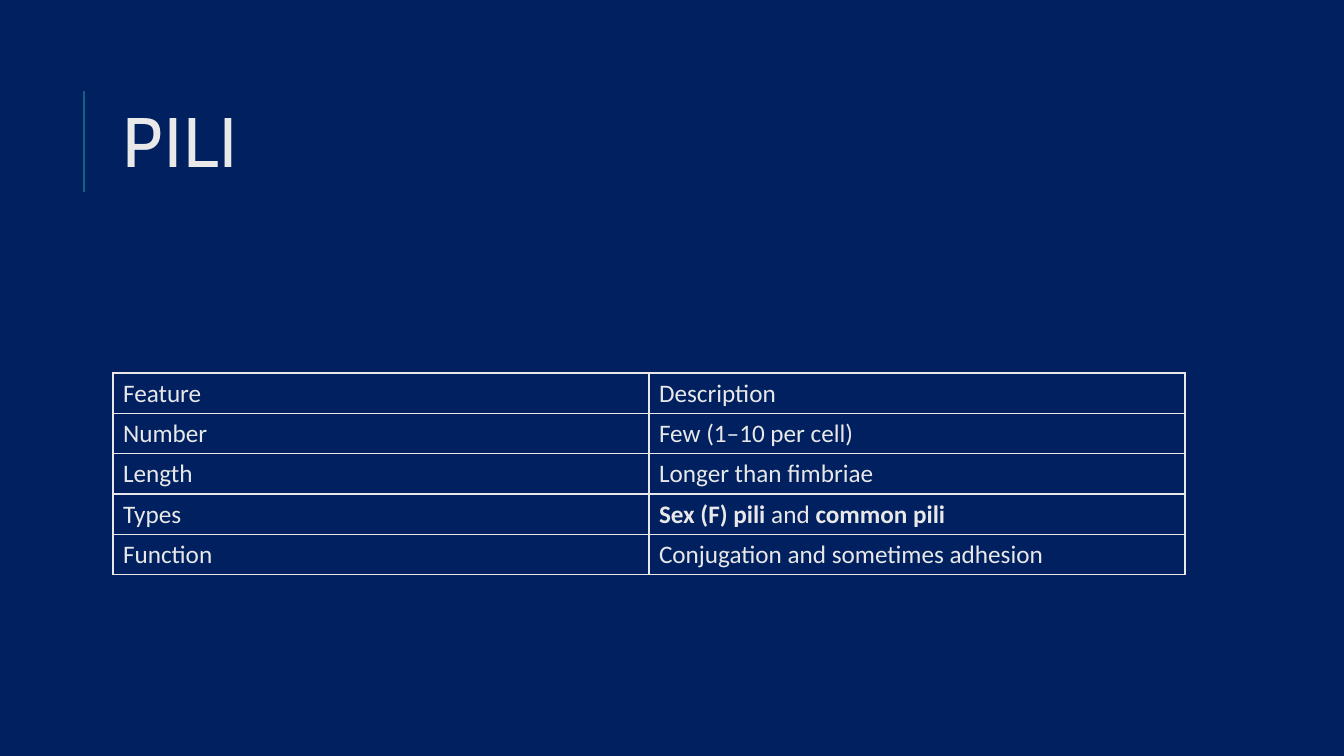
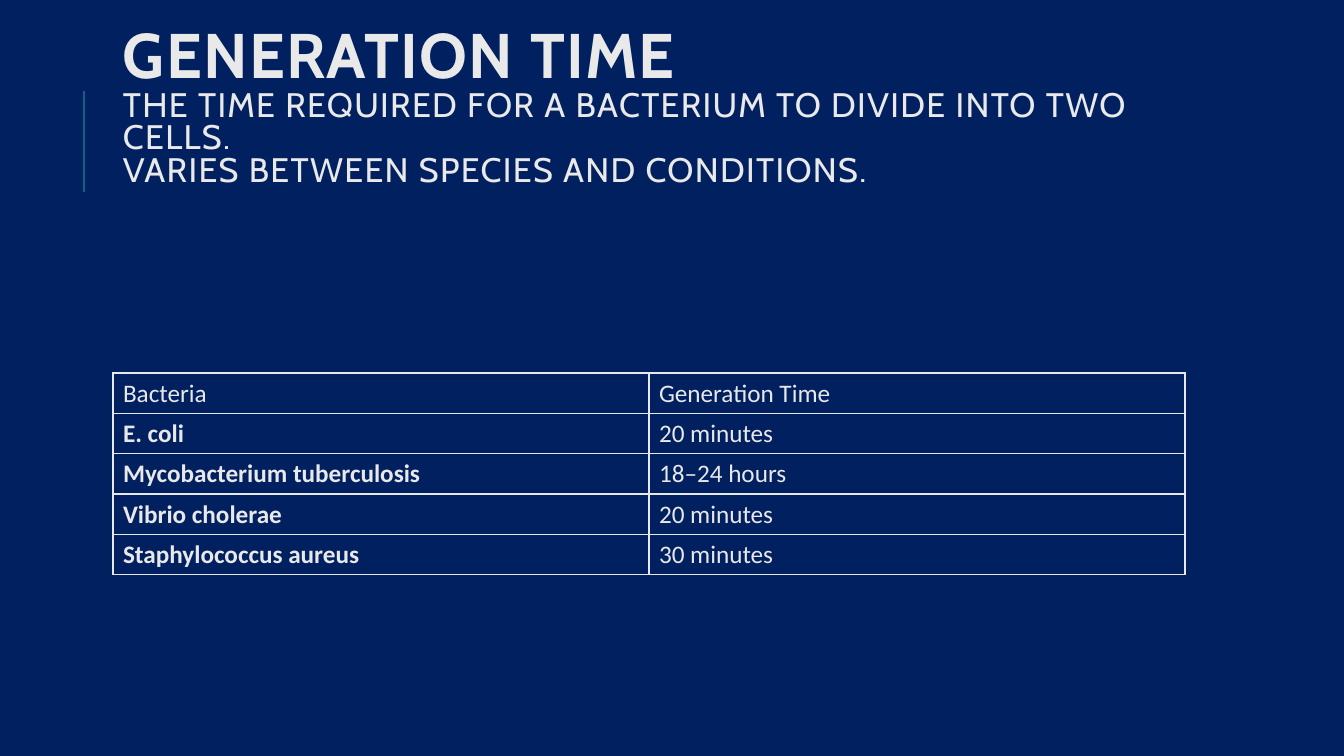
from pptx import Presentation
from pptx.dml.color import RGBColor
from pptx.enum.shapes import MSO_CONNECTOR as Connector
from pptx.enum.text import MSO_ANCHOR as Anchor
from pptx.oxml.xmlchemy import OxmlElement as new_element
from pptx.util import Emu, Pt

NAVY = RGBColor(0x00, 0x20, 0x60)
TEAL = RGBColor(0x15, 0x60, 0x82)
TITLE_GREY = RGBColor(0xE9, 0xE9, 0xE9)
TABLE_GREY = RGBColor(0xE8, 0xE8, 0xE8)
TITLE_FONT = "Cabin"
TABLE_FONT = "Calibri"
LEFT, WIDTH = 113, 1072
ROW_HEIGHT = 40

SLIDES = [
    {
        "title": [("PILI", 50, False)],
        "rows": [
            ("Feature", "Description"),
            ("Number", "Few (1–10 per cell)"),
            ("Length", "Longer than fimbriae"),
            ("Types", "**Sex (F) pili** and **common pili**"),
            ("Function", "Conjugation and sometimes adhesion"),
        ],
    },
    {
        "title": [
            ("GENERATION TIME", 45, True),
            ("THE TIME REQUIRED FOR A BACTERIUM TO DIVIDE INTO TWO CELLS.", 24.3, False),
            ("VARIES BETWEEN SPECIES AND CONDITIONS.", 24.3, False),
            ("", 45, False),
        ],
        "rows": [
            ("Bacteria", "Generation Time"),
            ("**E. coli**", "20 minutes"),
            ("**Mycobacterium tuberculosis**", "18–24 hours"),
            ("**Vibrio cholerae**", "20 minutes"),
            ("**Staphylococcus aureus**", "30 minutes"),
        ],
    },
]


def px(length):
    return Emu(round(length * 914400 / 100.8))


def add_styled_run(paragraph, text, font_name, size, color, bold):
    run = paragraph.add_run()
    run.text = text
    run.font.name = font_name
    run.font.size = Pt(size)
    run.font.color.rgb = color
    run.font.bold = bold
    return run


presentation = Presentation()
presentation.slide_width = px(1344)
presentation.slide_height = px(756)

for content in SLIDES:
    slide = presentation.slides.add_slide(presentation.slide_layouts[6])
    slide.background.fill.solid()
    slide.background.fill.fore_color.rgb = NAVY

    title_rule = slide.shapes.add_connector(Connector.STRAIGHT, px(84), px(192), px(84), px(91))
    title_rule.line.color.rgb = TEAL
    title_rule.line.width = Pt(1.5)
    title_rule._element.spPr.append(new_element("a:effectLst"))

    title = slide.shapes.add_textbox(px(LEFT), px(65), px(WIDTH), px(165))
    title.text_frame.word_wrap = True
    title.text_frame.vertical_anchor = Anchor.MIDDLE
    paragraph = title.text_frame.paragraphs[0]
    paragraph.line_spacing = 0.8
    for index, (text, size, bold) in enumerate(content["title"]):
        if index:
            paragraph.add_line_break()
            break_format = new_element("a:rPr")
            break_format.set("sz", str(round(size * 100)))
            latin = new_element("a:latin")
            latin.set("typeface", TITLE_FONT)
            break_format.append(latin)
            paragraph._p[-1].append(break_format)
        if text:
            run = add_styled_run(paragraph, text, TITLE_FONT, size, TITLE_GREY, bold)
            run.font._element.set("spc", "100")

    rows = content["rows"]
    table = slide.shapes.add_table(
        len(rows), 2, px(LEFT), px(373), px(WIDTH), px(ROW_HEIGHT * len(rows))
    ).table
    table.first_row = False
    table.horz_banding = False
    for row_index, row in enumerate(rows):
        for column_index, text in enumerate(row):
            cell = table.cell(row_index, column_index)
            cell.vertical_anchor = Anchor.MIDDLE
            properties = cell._tc.get_or_add_tcPr()
            for side in ("L", "R", "T", "B"):
                border = new_element(f"a:ln{side}")
                border.set("w", str(Pt(1)))
                fill = new_element("a:solidFill")
                color = new_element("a:srgbClr")
                color.set("val", str(TABLE_GREY))
                fill.append(color)
                border.append(fill)
                properties.append(border)
            cell.fill.background()
            paragraph = cell.text_frame.paragraphs[0]
            for part_index, part in enumerate(text.split("**")):
                if part:
                    add_styled_run(paragraph, part, TABLE_FONT, 18, TABLE_GREY, part_index % 2 == 1)

presentation.save("out.pptx")
